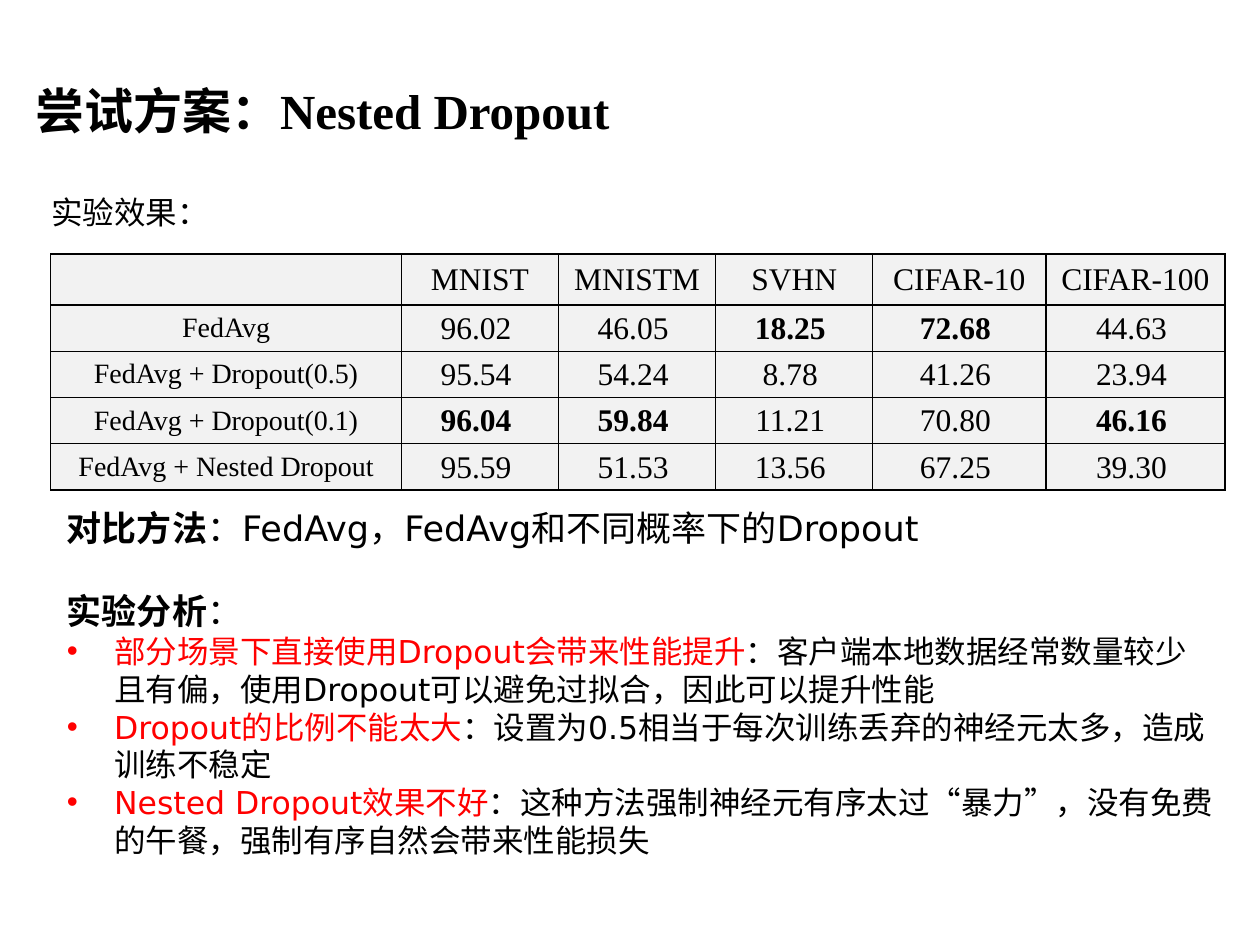
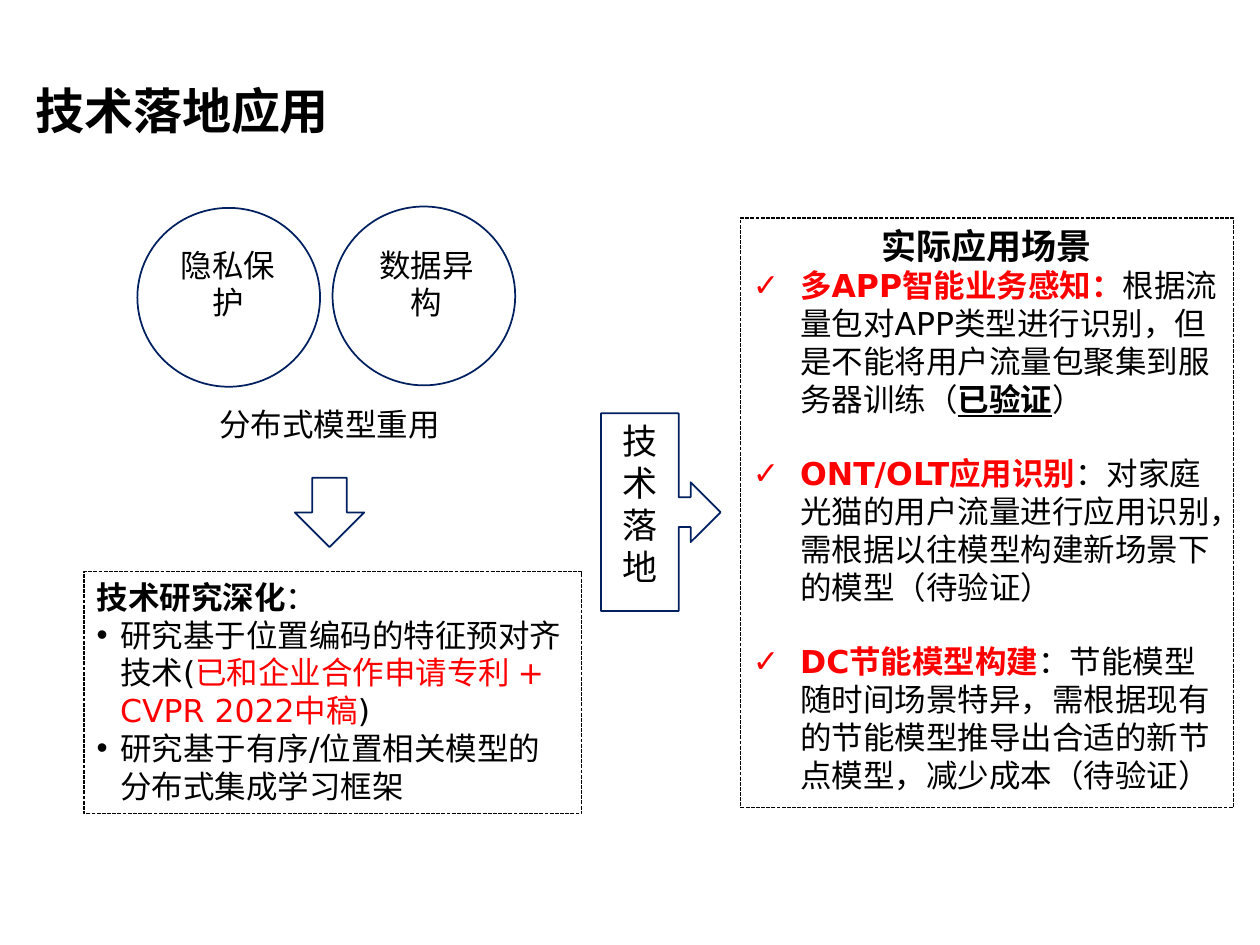
from dataclasses import dataclass
from typing import Any

import pptx
import pptx.dml.color
import pptx.enum.dml
import pptx.enum.shapes
import pptx.enum.text
import pptx.oxml.ns
import pptx.util
from lxml import etree

Pt = pptx.util.Pt
Align = pptx.enum.text.PP_ALIGN
Anchor = pptx.enum.text.MSO_ANCHOR
Preset = pptx.enum.shapes.MSO_SHAPE

BLACK, RED, NAVY, WHITE, PALE = "000000", "FF0000", "002060", "FFFFFF", "F2F2F2"
SANS, SERIF, CHINESE = "DejaVu Sans", "Times New Roman", "Noto Sans CJK SC"
WIDE_INDENT, NARROW_INDENT = 27, 13.5
TITLE_AREA = (13, 7.2, 462, 76)


@dataclass(frozen=True)
class Span:
    text: str
    color: str = BLACK
    bold: bool = False
    underline: bool = False


@dataclass(frozen=True)
class Para:
    spans: tuple[Span, ...]
    size: float = 18
    bullet: str = ""
    indent: float = 0
    before: float = 0
    align: Any = Align.LEFT
    font: str = SANS


@dataclass(frozen=True)
class Figure:
    preset: Any
    area: tuple[float, float, float, float]
    rotation: float = 0
    paras: tuple[Para, ...] = ()


@dataclass(frozen=True)
class Label:
    text: str
    area: tuple[float, float, float, float]
    align: Any = Align.CENTER


def color(code: str) -> pptx.dml.color.RGBColor:
    return pptx.dml.color.RGBColor.from_string(code)


def apply(target: Any, values: dict[str, Any]) -> None:
    for name, value in values.items():
        setattr(target, name, value)


def place(box: Any, area: tuple[float, float, float, float]) -> None:
    apply(box, dict(zip(("left", "top", "width", "height"), map(Pt, area))))


def set_bullet(para: Any, bullet: str, indent: float) -> None:
    properties = para._p.get_or_add_pPr()
    properties.set("marL", str(Pt(indent)))
    properties.set("indent", str(-Pt(indent)))
    tag = "a:buChar" if bullet else "a:buNone"
    mark = etree.SubElement(properties, pptx.oxml.ns.qn(tag))
    if bullet:
        mark.set("char", bullet)


def write(frame: Any, paras: tuple[Para, ...], anchor: Any = Anchor.TOP) -> None:
    apply(frame, {"word_wrap": True, "vertical_anchor": anchor,
                  "auto_size": pptx.enum.text.MSO_AUTO_SIZE.NONE})
    for index, item in enumerate(paras):
        para = frame.add_paragraph() if index else frame.paragraphs[0]
        apply(para, {"alignment": item.align, "space_before": Pt(item.before)})
        set_bullet(para, item.bullet, item.indent)
        for span in item.spans:
            run = para.add_run()
            run.text = span.text
            apply(run.font, {"name": item.font, "size": Pt(item.size),
                             "bold": span.bold, "underline": span.underline})
            run.font.color.rgb = color(span.color)


def add_page(deck: Any, layout: int, title: str, font: str) -> Any:
    page = deck.slides.add_slide(deck.slide_layouts[layout])
    place(page.shapes.title, TITLE_AREA)
    heading = Para((Span(title, bold=True),), size=28, font=font)
    write(page.shapes.title.text_frame, (heading,), Anchor.BOTTOM)
    return page


def fill_body(box: Any, area: tuple[float, float, float, float],
              paras: tuple[Para, ...], framed: bool = False) -> None:
    place(box, area)
    write(box.text_frame, paras)
    if framed:
        box.line.color.rgb = color(BLACK)
        apply(box.line, {"width": Pt(0.75),
                         "dash_style": pptx.enum.dml.MSO_LINE.SQUARE_DOT})


def add_label(page: Any, label: Label) -> None:
    box = page.shapes.add_textbox(*map(Pt, label.area))
    write(box.text_frame, (Para((Span(label.text),), align=label.align),))


def add_figure(page: Any, figure: Figure) -> None:
    shape = page.shapes.add_shape(figure.preset, *map(Pt, figure.area))
    shape.rotation = figure.rotation
    shape.shadow.inherit = False
    shape.fill.solid()
    shape.fill.fore_color.rgb = color(WHITE)
    shape.line.color.rgb = color(NAVY)
    shape.line.width = Pt(1)
    write(shape.text_frame, figure.paras)


def set_borders(cell: Any) -> None:
    properties = cell._tc.get_or_add_tcPr()
    for index, side in enumerate(("lnL", "lnR", "lnT", "lnB")):
        line = etree.Element(pptx.oxml.ns.qn(f"a:{side}"), w=str(Pt(1)))
        fill = etree.SubElement(line, pptx.oxml.ns.qn("a:solidFill"))
        etree.SubElement(fill, pptx.oxml.ns.qn("a:srgbClr"), val=BLACK)
        properties.insert(index, line)


HEADERS = ("", "MNIST", "MNISTM", "SVHN", "CIFAR-10", "CIFAR-100")
RESULTS = (
    ("FedAvg", "96.02", "46.05", "18.25", "72.68", "44.63"),
    ("FedAvg + Dropout(0.5)", "95.54", "54.24", "8.78", "41.26", "23.94"),
    ("FedAvg + Dropout(0.1)", "96.04", "59.84", "11.21", "70.80", "46.16"),
    ("FedAvg + Nested Dropout", "95.59", "51.53", "13.56", "67.25", "39.30"),
)
COLUMN_WIDTHS = (200.4, 89.8, 89.8, 89.8, 99, 102.2)
ROW_HEIGHTS = (28.6,) + (26.4,) * len(RESULTS)


def add_results(page: Any) -> None:
    rows = (HEADERS,) + RESULTS
    best = [max(column, key=float) for column in list(zip(*RESULTS))[1:]]
    table = page.shapes.add_table(
        len(rows), len(HEADERS), Pt(29), Pt(145.2),
        Pt(sum(COLUMN_WIDTHS)), Pt(sum(ROW_HEIGHTS))).table
    apply(table, {"first_row": False, "horz_banding": False})
    for column, width in zip(table.columns, COLUMN_WIDTHS):
        column.width = Pt(width)
    for row, height in zip(table.rows, ROW_HEIGHTS):
        row.height = Pt(height)
    for row_index, row in enumerate(rows):
        for column_index, text in enumerate(row):
            cell = table.cell(row_index, column_index)
            is_value = row_index > 0 and column_index > 0
            is_method = row_index > 0 and column_index == 0
            cell.fill.solid()
            cell.fill.fore_color.rgb = color(PALE)
            set_borders(cell)
            cell.vertical_anchor = Anchor.MIDDLE
            if is_value:
                apply(cell, {"margin_left": Pt(0.7), "margin_right": Pt(5.2),
                             "margin_top": Pt(0.7), "margin_bottom": 0})
            if text:
                bold = is_value and text == best[column_index - 1]
                para = Para((Span(text, bold=bold),), size=16 if is_method else 18,
                            align=Align.CENTER, font=SERIF)
                write(cell.text_frame, (para,), Anchor.MIDDLE)


def point(head: str, detail: str) -> Para:
    return Para((Span(head, RED), Span(detail)), bullet="•", indent=WIDE_INDENT)


def scenario(head: str, *details: Span, before: float = 21) -> Para:
    return Para((Span(head, RED, bold=True), *details), bullet="✓",
                indent=WIDE_INDENT, before=before)


ANALYSIS = (
    Para((Span("对比方法", bold=True),
          Span("：FedAvg，FedAvg和不同概率下的Dropout")), size=20),
    Para((Span("实验分析", bold=True), Span("：")), size=20, before=23.5),
    point("部分场景下直接使用Dropout会带来性能提升",
          "：客户端本地数据经常数量较少且有偏，使用Dropout可以避免过拟合，因此可以提升性能"),
    point("Dropout的比例不能太大",
          "：设置为0.5相当于每次训练丢弃的神经元太多，造成训练不稳定"),
    point("Nested Dropout效果不好",
          "：这种方法强制神经元有序太过“暴力”，没有免费的午餐，强制有序自然会带来性能损失"),
)
RESEARCH = (
    Para((Span("技术研究深化", bold=True), Span("："))),
    Para((Span("研究基于位置编码的特征预对齐技术("),
          Span("已和企业合作申请专利 + CVPR 2022中稿", RED), Span(")")),
         bullet="•", indent=NARROW_INDENT),
    Para((Span("研究基于有序/位置相关模型的分布式集成学习框架"),),
         bullet="•", indent=NARROW_INDENT),
)
SCENARIOS = (
    Para((Span("实际应用场景", bold=True),), size=20, align=Align.CENTER),
    scenario("多APP智能业务感知：",
             Span("根据流量包对APP类型进行识别，但是不能将用户流量包聚集到服务器训练（"),
             Span("已验证", bold=True, underline=True), Span("）"), before=0),
    scenario("ONT/OLT应用识别",
             Span("：对家庭光猫的用户流量进行应用识别，需根据以往模型构建新场景下的模型（待验证）")),
    scenario("DC节能模型构建",
             Span("：节能模型随时间场景特异，需根据现有的节能模型推导出合适的新节点模型，"
                  "减少成本（待验证）")),
)
LANDING = Para((Span("技术落地"),), size=20, align=Align.CENTER, font=SERIF)
FIGURES = (
    Figure(Preset.RIGHT_ARROW, (168.5, 273, 39.6, 39.6), rotation=90),
    Figure(Preset.RIGHT_ARROW_CALLOUT, (343.4, 236.2, 68.4, 113), paras=(LANDING,)),
    Figure(Preset.OVAL, (78.5, 118.8, 104.4, 102.2)),
    Figure(Preset.OVAL, (190, 118, 104.4, 102.2)),
)
LABELS = (
    Label("隐私保护", (89.3, 136.8, 82, 65.5)),
    Label("数据异构", (200.9, 136.8, 85.7, 65.5)),
    Label("分布式模型重用", (74.9, 228.2, 226.8, 36)),
)


def build_dropout_page(deck: Any) -> None:
    page = add_page(deck, 1, "尝试方案：Nested Dropout", SERIF)
    add_label(page, Label("实验效果：", (22.3, 106.6, 663, 36), Align.LEFT))
    add_results(page)
    fill_body(page.placeholders[1], (31, 286, 669.6, 211), ANALYSIS)


def build_application_page(deck: Any) -> None:
    page = add_page(deck, 3, "技术落地应用", CHINESE)
    fill_body(page.placeholders[1], (48, 326.6, 284.4, 138.4), RESEARCH, framed=True)
    fill_body(page.placeholders[2], (423, 124.6, 281.8, 336.8), SCENARIOS, framed=True)
    for figure in FIGURES:
        add_figure(page, figure)
    for label in LABELS:
        add_label(page, label)


def main() -> None:
    deck = pptx.Presentation()
    apply(deck, {"slide_width": Pt(720), "slide_height": Pt(540)})
    build_dropout_page(deck)
    build_application_page(deck)
    deck.save("out.pptx")


if __name__ == "__main__":
    main()
